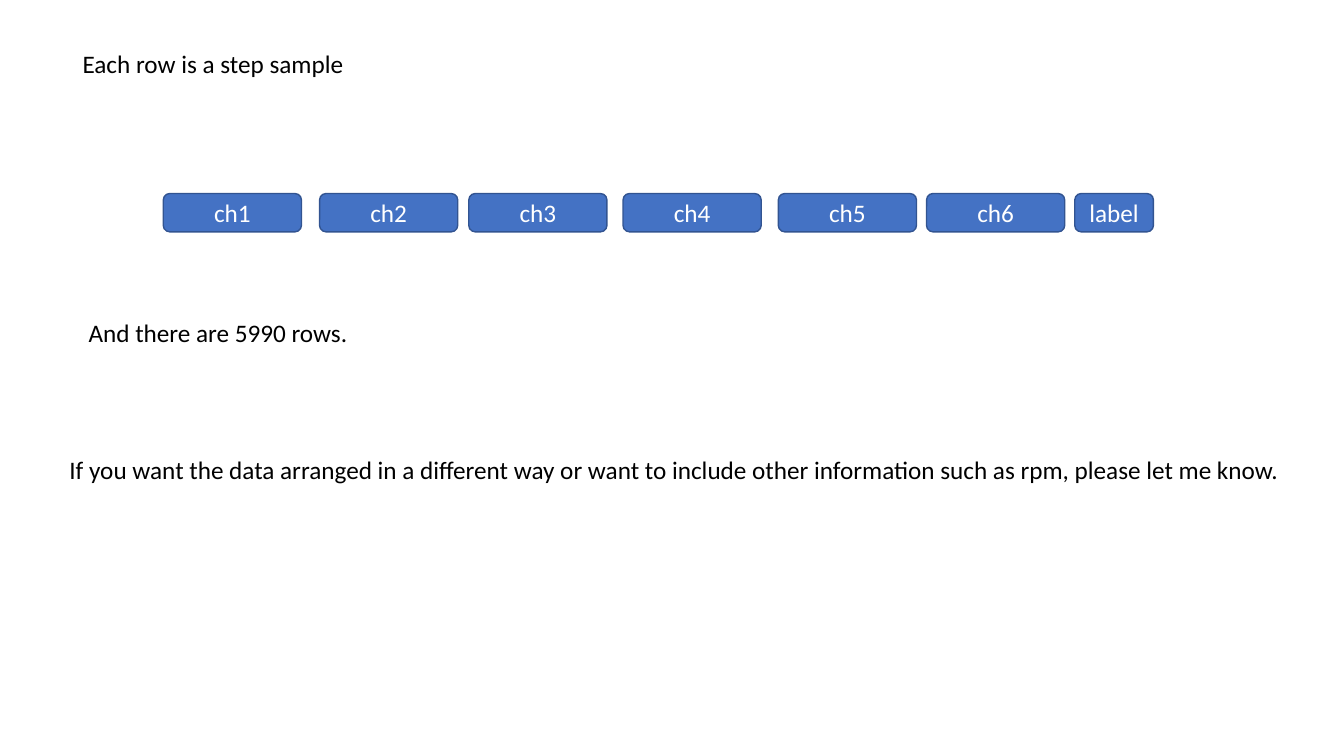
from pptx import Presentation
from pptx.dml.color import RGBColor as RGB
from pptx.enum.shapes import MSO_SHAPE as Shape
from pptx.enum.text import MSO_ANCHOR as Anchor, MSO_AUTO_SIZE as Fit, PP_ALIGN as Align
from pptx.util import Inches, Pt

colors = {"fill": "4472C4", "line": "325491", "light": "FFFFFF", "dark": "000000"}


def write(frame, text, color):
    run = frame.paragraphs[0].add_run()
    run.text = text
    look = {"name": "Calibri", "size": Pt(18)}
    for key, value in look.items():
        setattr(run.font, key, value)
    run.font.color.rgb = RGB.from_string(colors[color])


deck = Presentation()
deck.slide_width, deck.slide_height = Inches(13.33), Inches(7.5)
slide = deck.slides.add_slide(deck.slide_layouts[6])

fields = [
    ("ch1", 1.62, 1.37),
    ("ch2", 3.17, 1.37),
    ("ch3", 4.65, 1.37),
    ("ch4", 6.18, 1.37),
    ("ch5", 7.72, 1.37),
    ("ch6", 9.19, 1.37),
    ("label", 10.66, 0.78),
]
for name, left, width in fields:
    box = slide.shapes.add_shape(
        Shape.ROUNDED_RECTANGLE, Inches(left), Inches(1.92), Inches(width), Inches(0.38)
    )
    box.shadow.inherit = False
    box.fill.solid()
    box.fill.fore_color.rgb = RGB.from_string(colors["fill"])
    box.line.color.rgb = RGB.from_string(colors["line"])
    box.line.width = Pt(1)
    box.text_frame.vertical_anchor = Anchor.MIDDLE
    box.text_frame.paragraphs[0].alignment = Align.CENTER
    write(box.text_frame, name, "light")

notes = [
    ("Each row is a step sample", 0.72, 0.43, 5.08),
    ("And there are 5990 rows.", 0.78, 3.1, 5.08),
    (
        "If you want the data arranged in a different way or want to include "
        "other information such as rpm, please let me know.",
        0.59, 4.46, 12.38,
    ),
]
for text, left, top, width in notes:
    note = slide.shapes.add_textbox(Inches(left), Inches(top), Inches(width), Inches(0.4))
    note.text_frame.word_wrap = True
    note.text_frame.auto_size = Fit.SHAPE_TO_FIT_TEXT
    write(note.text_frame, text, "dark")

deck.save("out.pptx")
